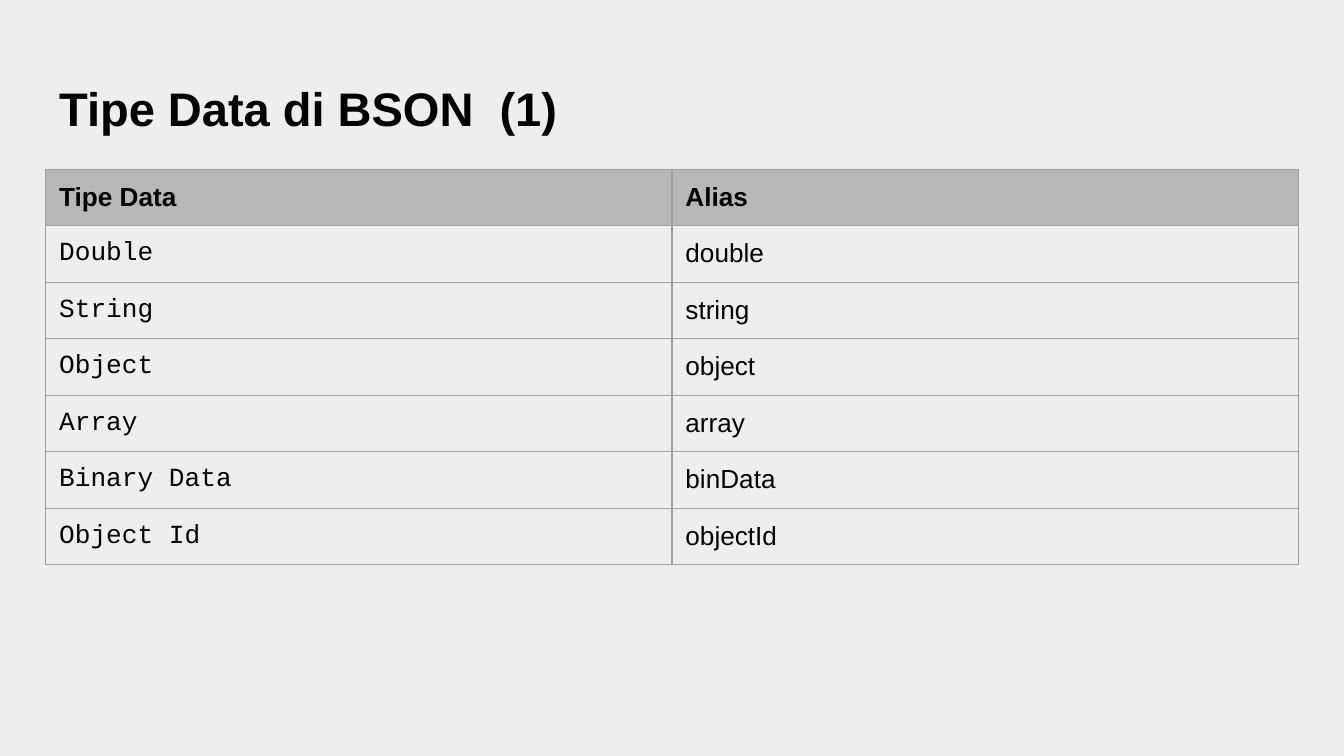
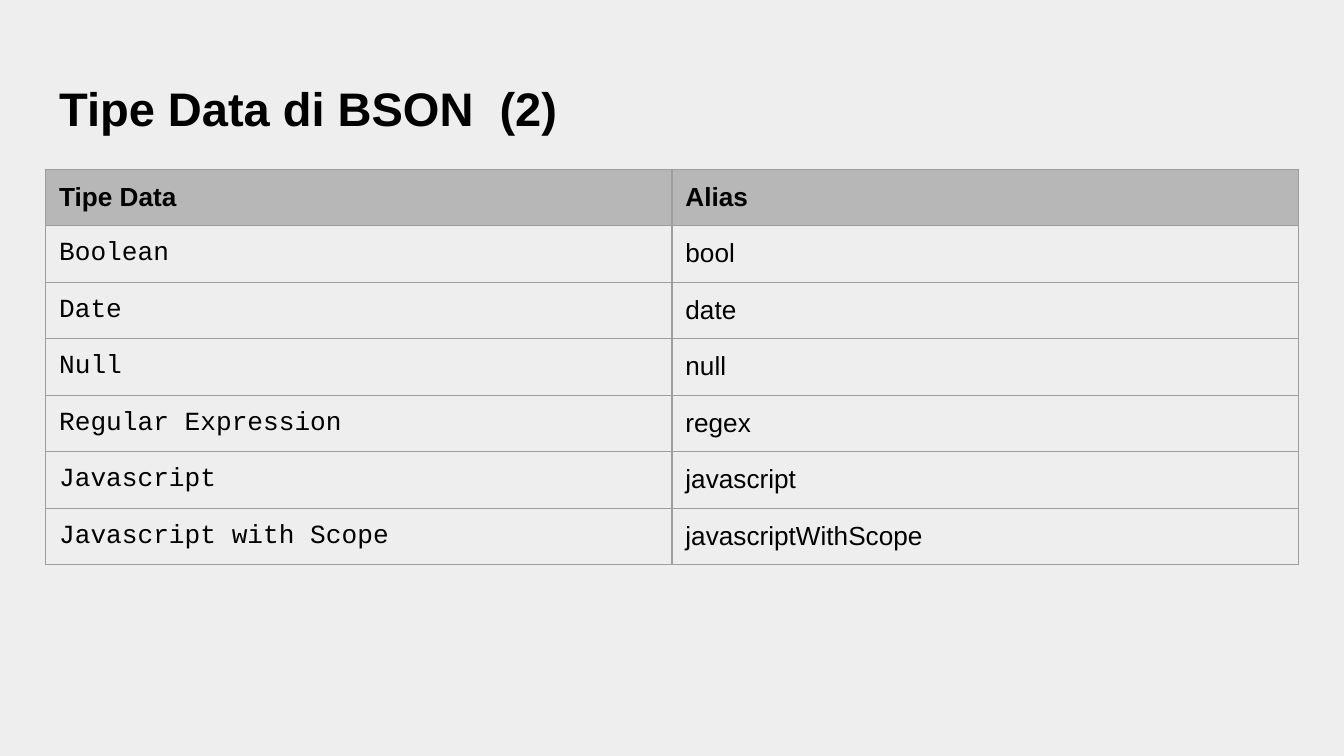
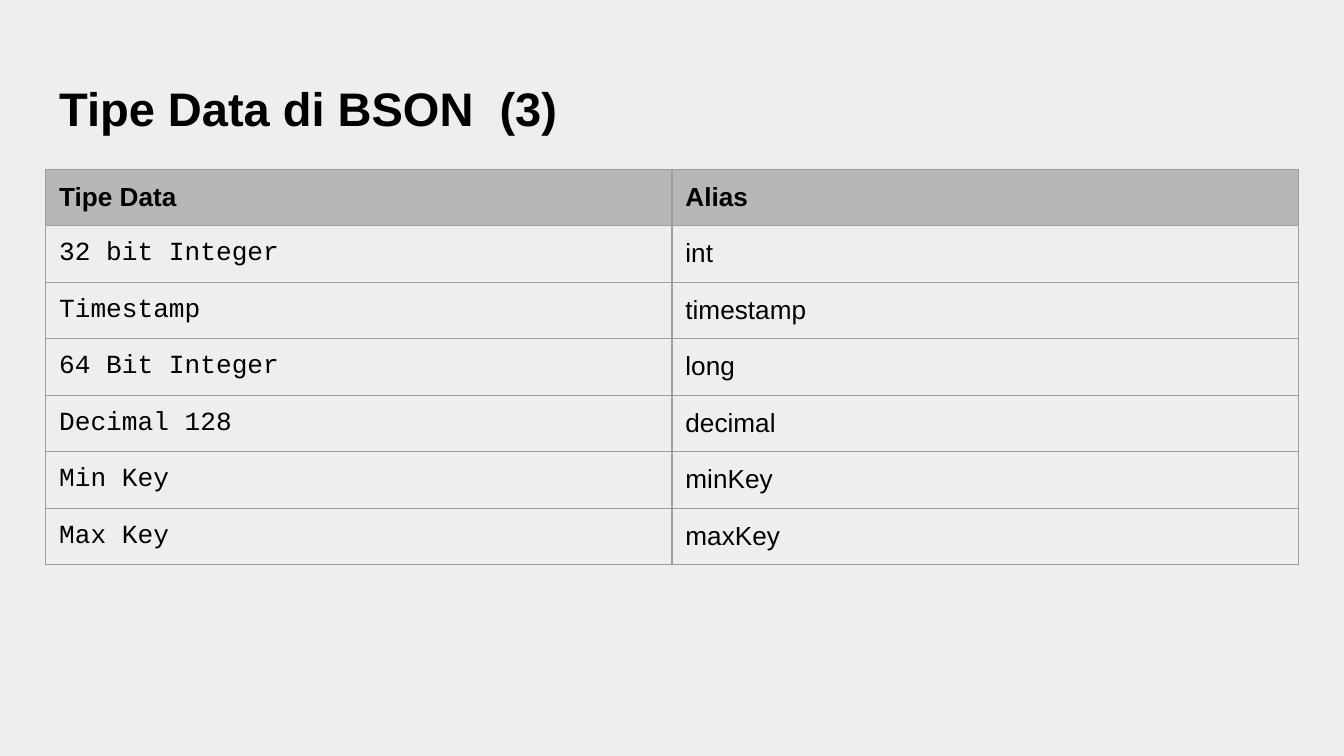
import lxml.etree
import pptx
import pptx.dml.color
import pptx.enum.text
import pptx.oxml.ns
import pptx.util

Inches, Pt = pptx.util.Inches, pptx.util.Pt
RGBColor = pptx.dml.color.RGBColor

HEADINGS = ("Tipe Data", "Alias")
TYPE_GROUPS = [
    [
        ("Double", "double"),
        ("String", "string"),
        ("Object", "object"),
        ("Array", "array"),
        ("Binary Data", "binData"),
        ("Object Id", "objectId"),
    ],
    [
        ("Boolean", "bool"),
        ("Date", "date"),
        ("Null", "null"),
        ("Regular Expression", "regex"),
        ("Javascript", "javascript"),
        ("Javascript with Scope", "javascriptWithScope"),
    ],
    [
        ("32 bit Integer", "int"),
        ("Timestamp", "timestamp"),
        ("64 Bit Integer", "long"),
        ("Decimal 128", "decimal"),
        ("Min Key", "minKey"),
        ("Max Key", "maxKey"),
    ],
]

BACKGROUND = RGBColor(0xEE, 0xEE, 0xEE)
HEADER_FILL = RGBColor(0xB7, 0xB7, 0xB7)
BORDER = RGBColor(0x9E, 0x9E, 0x9E)
TEXT = RGBColor(0, 0, 0)
BODY_FONT, TYPE_FONT = "Arial", "Courier New"

SLIDE_WIDTH = Inches(10)
SLIDE_HEIGHT = SLIDE_WIDTH * 9 // 16
LEFT, WIDTH = Inches(0.34), Inches(9.32)
TITLE_TOP, TITLE_HEIGHT = Inches(0.49), Inches(0.63)
TABLE_TOP, ROW_HEIGHT = Inches(1.26), Inches(0.4)
INSET = Inches(0.1)


def style_font(font, name, size, bold):
    """Set the face, size, weight and shared colour of a font."""
    font.name, font.size, font.bold = name, Pt(size), bold
    font.color.rgb = TEXT


def set_insets(holder):
    """Give a text frame or cell the shared margins."""
    holder.margin_left = holder.margin_right = INSET
    holder.margin_top = holder.margin_bottom = INSET


def add_borders(cell):
    """Draw the four grey sides of a cell."""
    qn = pptx.oxml.ns.qn
    properties = cell._tc.get_or_add_tcPr()
    for side in ("a:lnL", "a:lnR", "a:lnT", "a:lnB"):
        line = lxml.etree.SubElement(properties, qn(side), w=str(Pt(0.75)))
        fill = lxml.etree.SubElement(line, qn("a:solidFill"))
        lxml.etree.SubElement(fill, qn("a:srgbClr"), val=str(BORDER))


def add_title(page, text):
    """Fill and place the title of a page."""
    title = page.shapes.title
    title.left, title.top = LEFT, TITLE_TOP
    title.width, title.height = WIDTH, TITLE_HEIGHT
    frame = title.text_frame
    frame.text = text
    frame.auto_size = pptx.enum.text.MSO_AUTO_SIZE.NONE
    frame.vertical_anchor = pptx.enum.text.MSO_ANCHOR.MIDDLE
    set_insets(frame)
    para = frame.paragraphs[0]
    para.alignment = pptx.enum.text.PP_ALIGN.LEFT
    style_font(para.font, BODY_FONT, 25.2, True)


def add_type_table(page, types):
    """Add the table of data types and their aliases."""
    rows = [HEADINGS, *types]
    table = page.shapes.add_table(
        len(rows), len(HEADINGS), LEFT, TABLE_TOP, WIDTH, ROW_HEIGHT * len(rows)
    ).table
    table.horz_banding = False
    for row, values in enumerate(rows):
        is_header = row == 0
        for column, value in enumerate(values):
            cell = table.cell(row, column)
            cell.text = value
            set_insets(cell)
            add_borders(cell)
            if is_header:
                cell.fill.solid()
                cell.fill.fore_color.rgb = HEADER_FILL
            else:
                cell.fill.background()
            name = TYPE_FONT if column == 0 and not is_header else BODY_FONT
            style_font(cell.text_frame.paragraphs[0].font, name, 14, is_header)


def main():
    """Build the deck of data type tables."""
    deck = pptx.Presentation()
    deck.slide_width, deck.slide_height = SLIDE_WIDTH, SLIDE_HEIGHT
    backdrop = deck.slide_master.background.fill
    backdrop.solid()
    backdrop.fore_color.rgb = BACKGROUND
    title_only = deck.slide_layouts.get_by_name("Title Only")
    for number, types in enumerate(TYPE_GROUPS, start=1):
        page = deck.slides.add_slide(title_only)
        add_title(page, f"Tipe Data di BSON  ({number})")
        add_type_table(page, types)
    deck.save("out.pptx")


if __name__ == "__main__":
    main()
